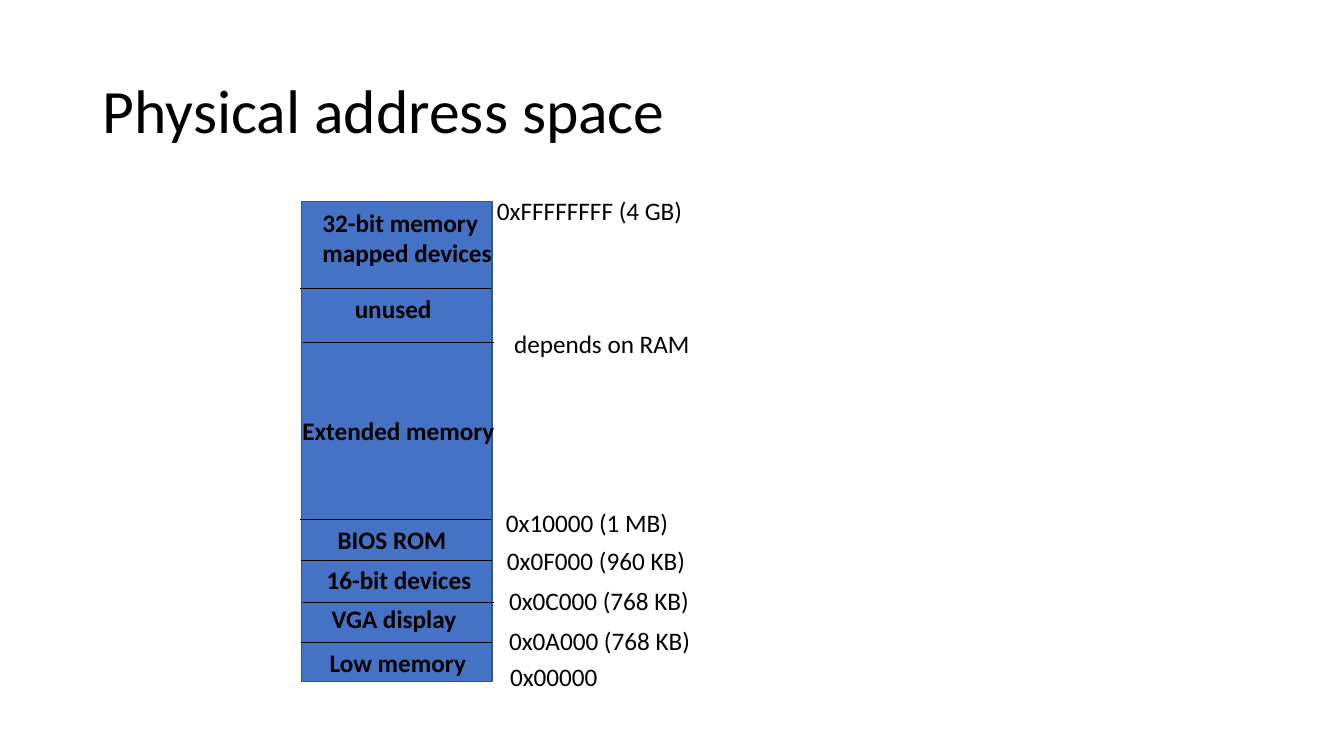
"""Build the physical address space slide."""
from lxml.etree import SubElement
from pptx import Presentation
from pptx.dml.color import RGBColor
from pptx.enum.shapes import MSO_CONNECTOR, MSO_SHAPE
from pptx.enum.text import MSO_ANCHOR
from pptx.oxml.ns import qn
from pptx.util import Inches, Pt

BLACK = RGBColor(0x00, 0x00, 0x00)
BLUE = RGBColor(0x44, 0x72, 0xC4)
NAVY = RGBColor(0x32, 0x54, 0x91)
FONT = "Calibri"
LEFT, TOP, WIDTH, HEIGHT = 2.99, 2, 1.89, 4.76

REGIONS = [
    (3.1, 2.01, ["32-bit memory", "mapped devices"]),
    (3.42, 2.86, ["unused"]),
    (2.9, 4.07, ["Extended memory"]),
    (3.25, 5.15, ["BIOS ROM"]),
    (3.14, 5.55, ["16-bit devices"]),
    (3.19, 5.94, ["VGA display"]),
    (3.17, 6.37, ["Low memory"]),
]
BOUNDS = [
    (2.98, 2.86),
    (3.01, 3.4),
    (2.98, 5.15),
    (2.99, 5.56),
    (3.01, 5.98),
    (2.99, 6.37),
]
LABELS = [
    (4.83, 1.89, "0xFFFFFFFF (4 GB)"),
    (5, 3.21, "depends on RAM"),
    (4.92, 4.98, "0x10000 (1 MB)"),
    (4.93, 5.36, "0x0F000 (960 KB)"),
    (4.95, 5.76, "0x0C000 (768 KB)"),
    (4.95, 6.15, "0x0A000 (768 KB)"),
    (4.96, 6.51, "0x00000"),
]


def add_text(slide, left, top, width, height, lines, size=18, bold=False):
    """Add a wrapped text box with one paragraph per line."""
    box = slide.shapes.add_textbox(
        Inches(left), Inches(top), Inches(width), Inches(height))
    frame = box.text_frame
    frame.word_wrap = True
    for index, line in enumerate(lines):
        para = frame.add_paragraph() if index else frame.paragraphs[0]
        run = para.add_run()
        run.text = line
        run.font.name = FONT
        run.font.size = Pt(size)
        run.font.bold = bold
        run.font.color.rgb = BLACK
    return frame


def add_title(slide, text):
    """Add the slide title, centred vertically in its box."""
    frame = add_text(slide, 0.92, 0.4, 11.5, 1.45, [text], 44)
    frame.vertical_anchor = MSO_ANCHOR.MIDDLE
    frame.paragraphs[0].line_spacing = 0.9


def add_column(slide):
    """Add the tall block that stands for all of memory."""
    block = slide.shapes.add_shape(
        MSO_SHAPE.RECTANGLE,
        Inches(LEFT), Inches(TOP), Inches(WIDTH), Inches(HEIGHT))
    block.shadow.inherit = False
    block.fill.solid()
    block.fill.fore_color.rgb = BLUE
    block.line.color.rgb = NAVY
    block.line.width = Pt(1)


def add_bound(slide, left, top):
    """Add a thin line between two memory regions."""
    line = slide.shapes.add_connector(
        MSO_CONNECTOR.STRAIGHT,
        Inches(left), Inches(top), Inches(left + WIDTH), Inches(top))
    line.line.color.rgb = BLACK
    line.line.width = Pt(0.5)
    SubElement(line._element.spPr, qn("a:effectLst"))


def main():
    """Build and save the slide."""
    deck = Presentation()
    deck.slide_width = Inches(13.33)
    deck.slide_height = Inches(7.5)
    slide = deck.slides.add_slide(deck.slide_layouts[6])
    add_title(slide, "Physical address space")
    add_column(slide)
    for left, top, lines in REGIONS:
        height = 0.4 + 0.31 * (len(lines) - 1)
        add_text(slide, left, top, 2.68, height, lines, bold=True)
    for left, top in BOUNDS:
        add_bound(slide, left, top)
    for left, top, label in LABELS:
        add_text(slide, left, top, 2.15, 0.4, [label])
    deck.save("out.pptx")


if __name__ == "__main__":
    main()
